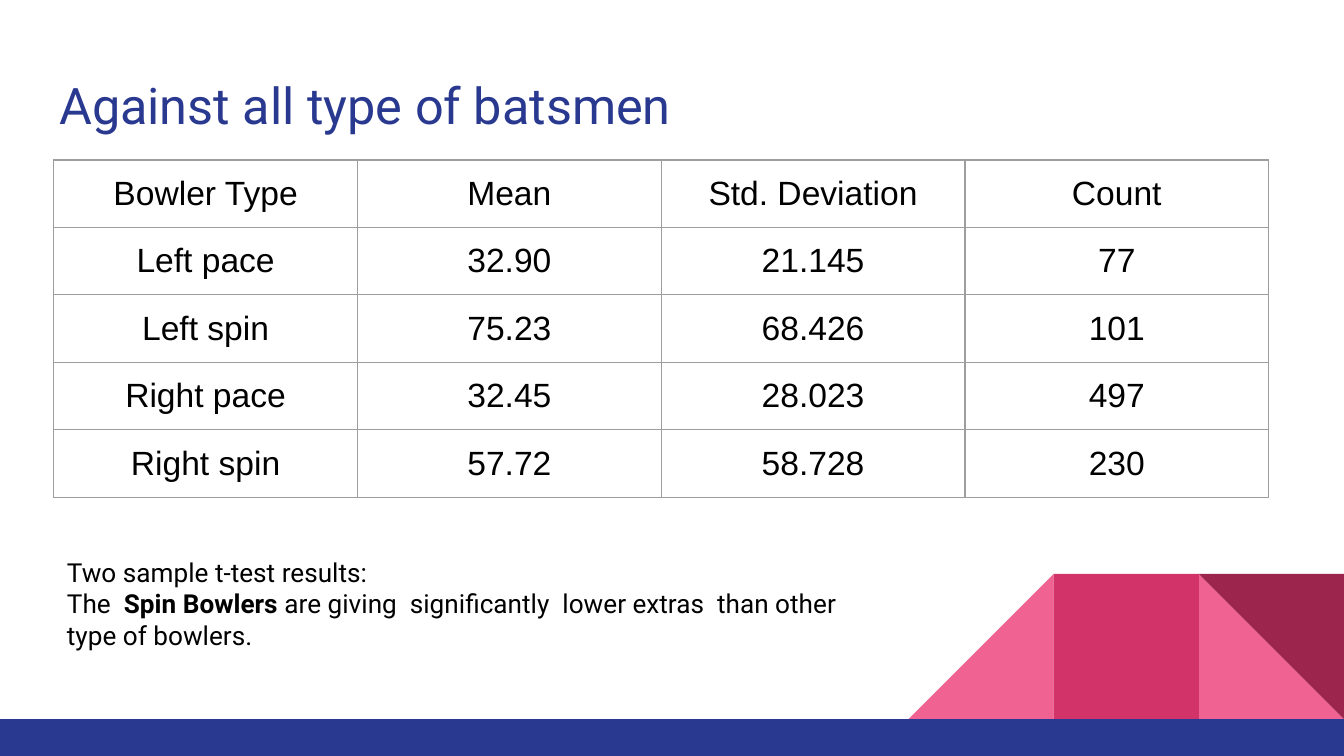
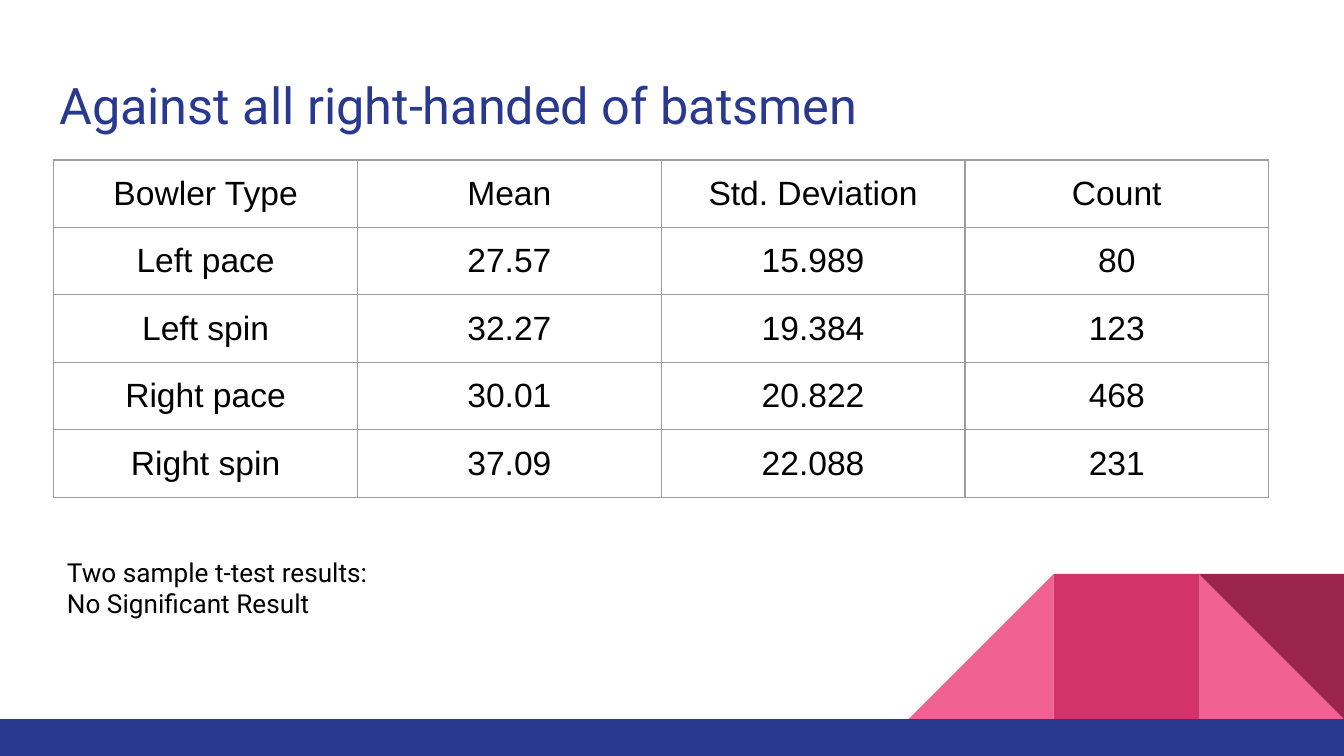
"""Build two slides of bowling statistics with t-test notes."""
import pptx
import pptx.util
import pptx.dml.color
import pptx.enum.shapes
import pptx.enum.text
import pptx.oxml
import pptx.oxml.ns

Inches = pptx.util.Inches
Pt = pptx.util.Pt
Shape = pptx.enum.shapes.MSO_SHAPE
Anchor = pptx.enum.text.MSO_ANCHOR
Align = pptx.enum.text.PP_ALIGN


def color(code):
    return pptx.dml.color.RGBColor.from_string(code)


class Deck:
    blue, pink, rose, wine = "2A3990", "F06292", "D23369", "9C254D"
    black, gray = "000000", "9E9E9E"
    font, plain = "Roboto", "Arial"
    pad, left, tile = 0.1, 0.4, 1.08
    wide, band = 10, 5.35
    high = wide * 9 / 16

    def __init__(self):
        self.file = pptx.Presentation()
        self.file.slide_width = Inches(self.wide)
        self.file.slide_height = Inches(self.high)

    def start(self, title):
        self.slide = self.file.slides.add_slide(self.file.slide_layouts[5])
        top = self.band - self.tile
        cols = [self.wide - self.tile * n for n in (3, 2, 1)]
        self.block(Shape.RIGHT_TRIANGLE, cols[2], top, self.pink)
        self.block(Shape.RIGHT_TRIANGLE, cols[0], top, self.pink, turn=270)
        self.block(Shape.RECTANGLE, cols[1], top, self.rose)
        self.block(Shape.RIGHT_TRIANGLE, cols[2], top, self.wine, turn=180)
        self.block(Shape.RECTANGLE, 0, self.band, self.blue,
                   (self.wide, self.high - self.band))
        self.title(title)

    def block(self, kind, x, y, fill, size=(tile, tile), turn=0):
        shape = self.slide.shapes.add_shape(
            kind, Inches(x), Inches(y), Inches(size[0]), Inches(size[1]))
        shape.fill.solid()
        shape.fill.fore_color.rgb = color(fill)
        shape.line.fill.background()
        shape.shadow.inherit = False
        shape.rotation = turn

    def inset(self, item):
        item.margin_left = item.margin_right = Inches(self.pad)
        item.margin_top = item.margin_bottom = Inches(self.pad)

    def run(self, para, text, size, font, tint, bold=False):
        run = para.add_run()
        run.text = text
        run.font.size = Pt(size)
        run.font.name = font
        run.font.bold = bold
        run.font.color.rgb = color(tint)

    def title(self, text):
        shape = self.slide.shapes.title
        shape.left, shape.top = Inches(0.34), Inches(0.45)
        shape.width, shape.height = Inches(9.32), Inches(0.66)
        frame = shape.text_frame
        self.inset(frame)
        frame.word_wrap = True
        frame.auto_size = pptx.enum.text.MSO_AUTO_SIZE.NONE
        frame.vertical_anchor = Anchor.MIDDLE
        para = frame.paragraphs[0]
        para.alignment = Align.LEFT
        self.run(para, text, 27, self.font, self.blue)

    def border(self, cell):
        props = cell._tc.get_or_add_tcPr()
        space = pptx.oxml.ns.nsdecls("a")
        for spot, side in enumerate(("lnL", "lnR", "lnT", "lnB")):
            props.insert(spot, pptx.oxml.parse_xml(
                f'<a:{side} {space} w="{Pt(0.75)}"><a:solidFill>'
                f'<a:srgbClr val="{self.gray}"/></a:solidFill></a:{side}>'))

    def table(self, rows):
        wide, high = 9.04, 2.51
        count = len(rows[0])
        grid = self.slide.shapes.add_table(
            len(rows), count, Inches(self.left), Inches(1.19),
            Inches(wide), Inches(high)).table
        grid.first_row = grid.horz_banding = False
        for r, row in enumerate(rows):
            for c, text in enumerate(row):
                cell = grid.cell(r, c)
                cell.fill.background()
                cell.vertical_anchor = Anchor.MIDDLE
                self.inset(cell)
                self.border(cell)
                para = cell.text_frame.paragraphs[0]
                para.alignment = Align.CENTER
                self.run(para, text, 18, self.plain, self.black)

    def note(self, paras, high):
        box = self.slide.shapes.add_textbox(
            Inches(self.left), Inches(4.04), Inches(6.33), Inches(high))
        frame = box.text_frame
        frame.word_wrap = True
        frame.auto_size = pptx.enum.text.MSO_AUTO_SIZE.SHAPE_TO_FIT_TEXT
        self.inset(frame)
        for n, runs in enumerate(paras):
            para = frame.add_paragraph() if n else frame.paragraphs[0]
            for text, bold in runs:
                self.run(para, text, 14, self.font, self.black, bold)


head = ("Bowler Type", "Mean", "Std. Deviation", "Count")
kinds = ("Left pace", "Left spin", "Right pace", "Right spin")
lead = [("Two sample t-test results:", False)]
pages = [
    ("Against all type of batsmen",
     [("32.90", "21.145", "77"), ("75.23", "68.426", "101"),
      ("32.45", "28.023", "497"), ("57.72", "58.728", "230")],
     [("The  ", False), ("Spin Bowlers ", True),
      ("are giving  significantly  lower extras  than other type of bowlers.",
       False)], 0.91),
    ("Against all right-handed of batsmen",
     [("27.57", "15.989", "80"), ("32.27", "19.384", "123"),
      ("30.01", "20.822", "468"), ("37.09", "22.088", "231")],
     [("No Significant Result", False)], 0.67),
]

deck = Deck()
for title, stats, result, high in pages:
    deck.start(title)
    deck.table([head] + [(kind, *row) for kind, row in zip(kinds, stats)])
    deck.note([lead, result], high)
deck.file.save("out.pptx")
